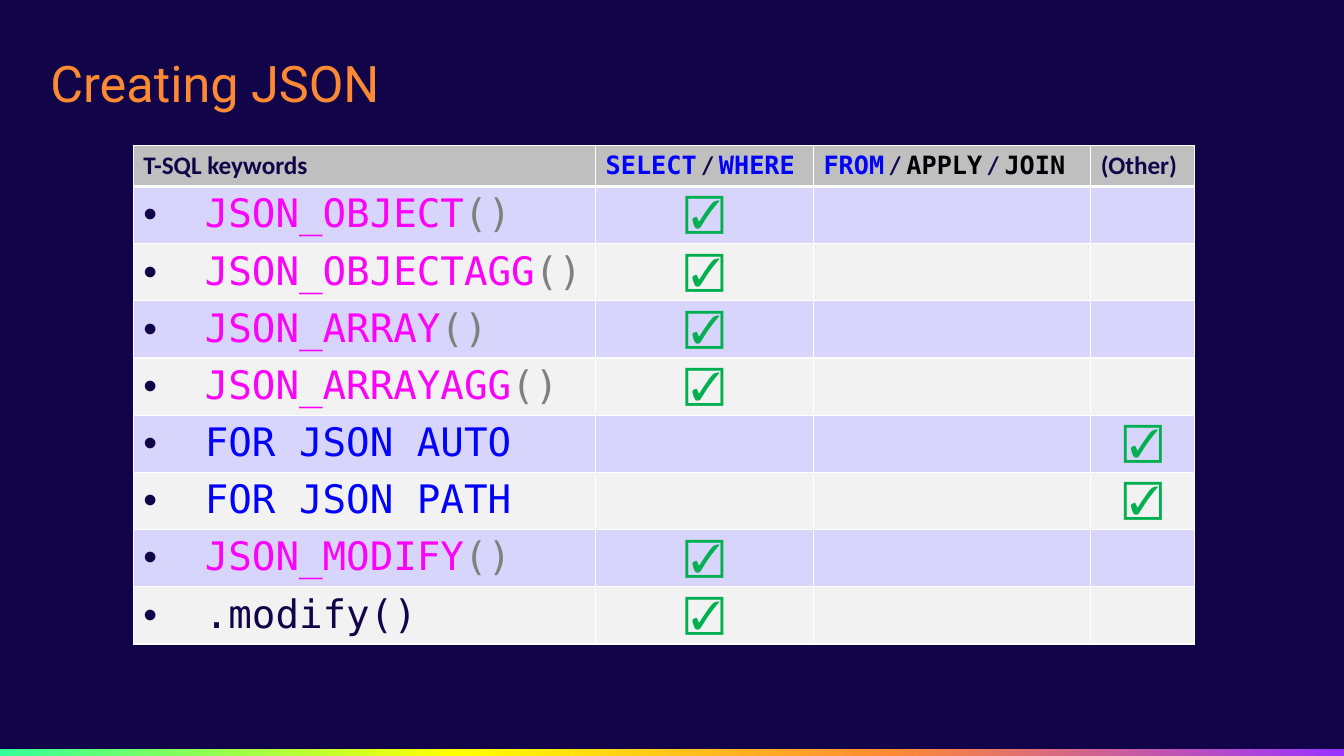
from lxml.etree import SubElement
from pptx import Presentation
from pptx.dml.color import RGBColor
from pptx.enum.shapes import MSO_SHAPE
from pptx.enum.text import PP_ALIGN
from pptx.oxml.ns import qn
from pptx.util import Cm, Pt

NAVY, BLUE, MAGENTA = "110449", "0000FF", "FF00FF"
GREY, BLACK, GREEN = "808080", "000004", "00B050"
ORANGE, WHITE = "FF8A33", "FFFFFF"
HEADER_FILL, BAND_FILLS = "BFBFBF", ("D8D5FC", "F2F2F2")
MONO, CALIBRI = "DejaVu Sans Mono", "Calibri"
RAINBOW = ((0, "33FF99"), (34, "FFFF00"), (66, ORANGE), (100, "9933FF"))

SLASH = (" / ", CALIBRI, NAVY)
HEADINGS = (
    [("T-SQL keywords", CALIBRI, NAVY)],
    [("SELECT", MONO, BLUE), SLASH, ("WHERE", MONO, BLUE)],
    [("FROM", MONO, BLUE), SLASH, ("APPLY", MONO, BLACK), SLASH, ("JOIN", MONO, BLACK)],
    [("(Other)", CALIBRI, NAVY)],
)
SELECT_COLUMN, OTHER_COLUMN = 1, 3
KEYWORDS = (
    ("JSON_OBJECT", "()", MAGENTA, SELECT_COLUMN),
    ("JSON_OBJECTAGG", "()", MAGENTA, SELECT_COLUMN),
    ("JSON_ARRAY", "()", MAGENTA, SELECT_COLUMN),
    ("JSON_ARRAYAGG", "()", MAGENTA, SELECT_COLUMN),
    ("FOR JSON AUTO", "", BLUE, OTHER_COLUMN),
    ("FOR JSON PATH", "", BLUE, OTHER_COLUMN),
    ("JSON_MODIFY", "()", MAGENTA, SELECT_COLUMN),
    (".modify()", "", NAVY, SELECT_COLUMN),
)
COLUMN_WIDTHS = (11.65, 5.49, 6.99, 2.62)
HEADER_HEIGHT, ROW_HEIGHT = 1.04, 1.44


def rgb(value):
    """Turn a hex string into a colour."""
    return RGBColor.from_string(value)


def write(paragraph, text, font="Arial", size=28, color=NAVY, bold=False):
    """Add a formatted run to a paragraph."""
    run = paragraph.add_run()
    run.text = text
    run.font.name = font
    run.font.size = Pt(size)
    run.font.bold = bold
    run.font.color.rgb = rgb(color)


def add_bullet(paragraph):
    """Give a paragraph a round bullet with a hanging indent."""
    properties = paragraph._p.get_or_add_pPr()
    properties.set("marL", str(Cm(1.55)))
    properties.set("indent", str(Cm(-1.55)))
    bullet_color = SubElement(properties, qn("a:buClr"))
    SubElement(bullet_color, qn("a:srgbClr"), val=NAVY)
    SubElement(properties, qn("a:buFont"), typeface="Arial")
    SubElement(properties, qn("a:buChar"), char="•")


def style_cell(cell, fill, top=1, bottom=1):
    """Set white borders and a solid fill on a cell."""
    properties = cell._tc.get_or_add_tcPr()
    for side, width in (("L", 1), ("R", 1), ("T", top), ("B", bottom)):
        border = SubElement(properties, qn(f"a:ln{side}"), w=str(Pt(width)))
        border_fill = SubElement(border, qn("a:solidFill"))
        SubElement(border_fill, qn("a:srgbClr"), val=WHITE)
    cell.fill.solid()
    cell.fill.fore_color.rgb = rgb(fill)


def add_rainbow_bar(slide, width, top, height):
    """Draw the gradient strip along the foot of the slide."""
    bar = slide.shapes.add_shape(MSO_SHAPE.RECTANGLE, 0, top, width, height)
    bar.shadow.inherit = False
    bar.line.fill.background()
    bar.fill.gradient()
    bar.fill.gradient_angle = 0
    stops = bar._element.spPr.find(qn("a:gradFill")).find(qn("a:gsLst"))
    for default_stop in list(stops):
        stops.remove(default_stop)
    for percent, color in RAINBOW:
        stop = SubElement(stops, qn("a:gs"), pos=str(percent * 1000))
        SubElement(stop, qn("a:srgbClr"), val=color)


def add_title(slide, text):
    """Place the slide title."""
    frame = slide.shapes.add_textbox(Cm(1.02), Cm(1.37), Cm(26.16), Cm(1.98)).text_frame
    frame.word_wrap = True
    paragraph = frame.paragraphs[0]
    paragraph.line_spacing = 0.9
    write(paragraph, text, font="Roboto", size=36, color=ORANGE)


def add_keyword_table(slide):
    """Build the table of keywords and the clauses that accept them."""
    table = slide.shapes.add_table(
        len(KEYWORDS) + 1, len(COLUMN_WIDTHS), Cm(3.36), Cm(3.66),
        Cm(sum(COLUMN_WIDTHS)), Cm(HEADER_HEIGHT + ROW_HEIGHT * len(KEYWORDS)),
    ).table
    table.horz_banding = False
    for column, width in zip(table.columns, COLUMN_WIDTHS):
        column.width = Cm(width)

    table.rows[0].height = Cm(HEADER_HEIGHT)
    for cell, heading in zip(table.rows[0].cells, HEADINGS):
        style_cell(cell, HEADER_FILL, bottom=3)
        for text, font, color in heading:
            write(cell.text_frame.paragraphs[0], text, font=font, size=18, color=color, bold=True)

    for index, (keyword, brackets, color, ticked) in enumerate(KEYWORDS):
        row = table.rows[index + 1]
        row.height = Cm(ROW_HEIGHT)
        for cell in row.cells:
            style_cell(cell, BAND_FILLS[index % 2], top=1 if index else 3)
        label = row.cells[0].text_frame.paragraphs[0]
        add_bullet(label)
        write(label, keyword, font=MONO, color=color)
        if brackets:
            write(label, brackets, font=MONO, color=GREY)
        tick = row.cells[ticked].text_frame.paragraphs[0]
        tick.alignment = PP_ALIGN.CENTER
        write(tick, "☑", color=GREEN)


def main():
    """Build the slide and save it."""
    presentation = Presentation()
    presentation.slide_width = Cm(33.87)
    presentation.slide_height = Cm(19.05)
    slide = presentation.slides.add_slide(presentation.slide_layouts[6])
    slide.background.fill.solid()
    slide.background.fill.fore_color.rgb = rgb(NAVY)
    add_rainbow_bar(slide, presentation.slide_width, Cm(18.87), Cm(0.18))
    add_title(slide, "Creating JSON")
    add_keyword_table(slide)
    presentation.save("out.pptx")


if __name__ == "__main__":
    main()
